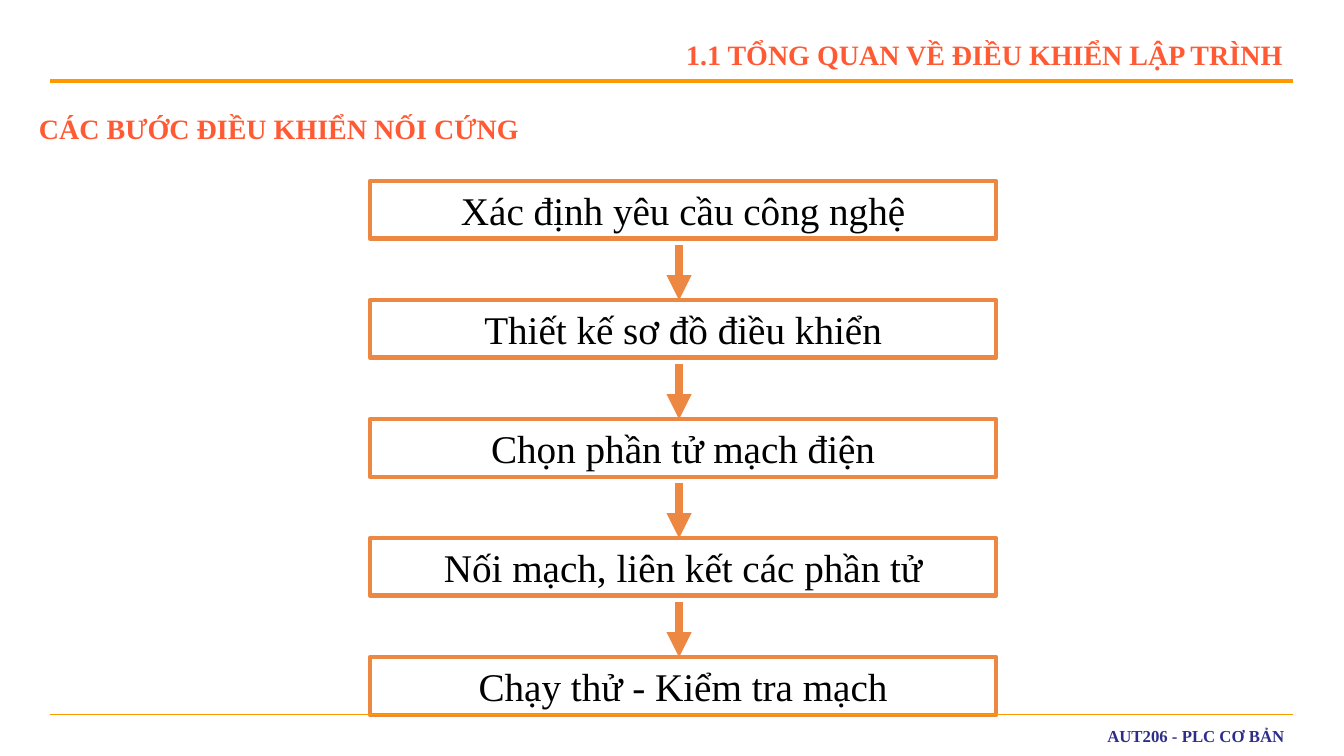
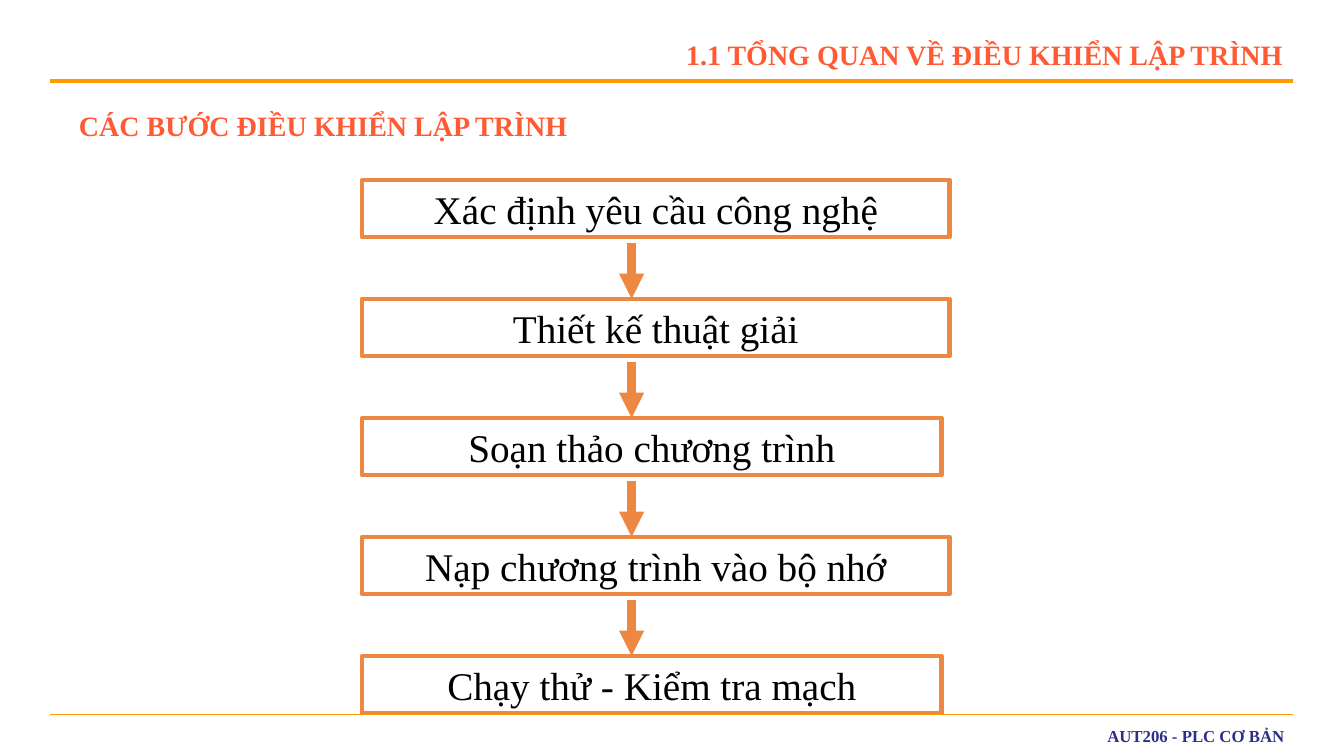
from pptx import Presentation
from pptx.dml.color import RGBColor
from pptx.enum.shapes import MSO_CONNECTOR as Conn, MSO_SHAPE as Shape
from pptx.enum.text import MSO_ANCHOR as Anchor, PP_ALIGN as Align
from pptx.oxml.ns import qn
from pptx.util import Pt
from lxml.etree import SubElement

FONT = "Times New Roman"
RED, GOLD, ORANGE, NAVY, BLACK = "FF5A33", "FF9900", "ED8843", "2D2D8A", "000000"
TITLE = "1.1 TỔNG QUAN VỀ ĐIỀU KHIỂN LẬP TRÌNH"
FOOTER = "AUT206 - PLC CƠ BẢN"
LEFT, RIGHT = 36, 923.8
RULES = [(57.6, 3), (510.5, 0.75)]
PITCH, HIGH, REACH = 85, 41, 39.7

SLIDES = [
    {
        "head": "CÁC BƯỚC ĐIỀU KHIỂN NỐI CỨNG", "spot": (1.4, 72.7),
        "left": 264.3, "top": 129.5, "axis": 485.3,
        "steps": [
            ("Xác định yêu cầu công nghệ", 447.8),
            ("Thiết kế sơ đồ điều khiển", 447.8),
            ("Chọn phần tử mạch điện", 447.8),
            ("Nối mạch, liên kết các phần tử", 447.8),
            ("Chạy thử - Kiểm tra mạch", 447.8),
        ],
    },
    {
        "head": "CÁC BƯỚC ĐIỀU KHIỂN LẬP TRÌNH", "spot": (36, 70.3),
        "left": 258.8, "top": 128.5, "axis": 451.4,
        "steps": [
            ("Xác định yêu cầu công nghệ", 419.8),
            ("Thiết kế thuật giải", 419.8),
            ("Soạn thảo chương trình", 414),
            ("Nạp chương trình vào bộ nhớ", 419.8),
            ("Chạy thử - Kiểm tra mạch", 414),
        ],
    },
]


def color(code):
    return RGBColor.from_string(code)


def write(shape, text, size=20, tint=RED, bold=True, align=Align.RIGHT,
          anchor=Anchor.MIDDLE, pad=(7.2, 3.6)):
    frame = shape.text_frame
    frame.word_wrap = True
    frame.vertical_anchor = anchor
    frame.margin_left = frame.margin_right = Pt(pad[0])
    frame.margin_top = frame.margin_bottom = Pt(pad[1])
    para = frame.paragraphs[0]
    para.alignment = align
    run = para.add_run()
    run.text = text
    font = run.font
    font.name, font.size, font.bold = FONT, Pt(size), bold
    font.color.rgb = color(tint)


def label(slide, text, x, y, wide, high, **style):
    box = slide.shapes.add_textbox(Pt(x), Pt(y), Pt(wide), Pt(high))
    write(box, text, **style)


def line(slide, x1, y1, x2, y2, tint, width, arrow=False):
    link = slide.shapes.add_connector(Conn.STRAIGHT, Pt(x1), Pt(y1), Pt(x2), Pt(y2))
    link.line.color.rgb = color(tint)
    link.line.width = Pt(width)
    if arrow:
        SubElement(link.line._get_or_add_ln(), qn("a:tailEnd"), type="triangle")
    SubElement(link._element.spPr, qn("a:effectLst"))


def step(slide, text, x, y, wide):
    box = slide.shapes.add_shape(Shape.RECTANGLE, Pt(x), Pt(y), Pt(wide), Pt(HIGH))
    box.shadow.inherit = False
    box.fill.background()
    box.line.color.rgb = color(ORANGE)
    box.line.width = Pt(3)
    write(box, text, size=28, tint=BLACK, bold=False, align=Align.CENTER,
          anchor=Anchor.TOP)


def flow(slide, data):
    for i, (text, wide) in enumerate(data["steps"]):
        y = data["top"] + i * PITCH
        step(slide, text, data["left"], y, wide)
        if i:
            line(slide, data["axis"], y - REACH, data["axis"], y, ORANGE, 6, arrow=True)


def frame(slide):
    for y, width in RULES:
        line(slide, LEFT, y, RIGHT, y, GOLD, width)
    label(slide, FOOTER, 276.5, 511.9, RIGHT - 276.5, 27.4, size=12, tint=NAVY,
          pad=(5.8, 2.9))
    label(slide, TITLE, 412.6, 19.4, RIGHT - 412.6, 38.2)


def main():
    deck = Presentation()
    deck.slide_width, deck.slide_height = Pt(960.5), Pt(540)
    for data in SLIDES:
        slide = deck.slides.add_slide(deck.slide_layouts[6])
        flow(slide, data)
        label(slide, data["head"], *data["spot"], 376.6, 38.2)
        frame(slide)
    deck.save("out.pptx")


if __name__ == "__main__":
    main()
